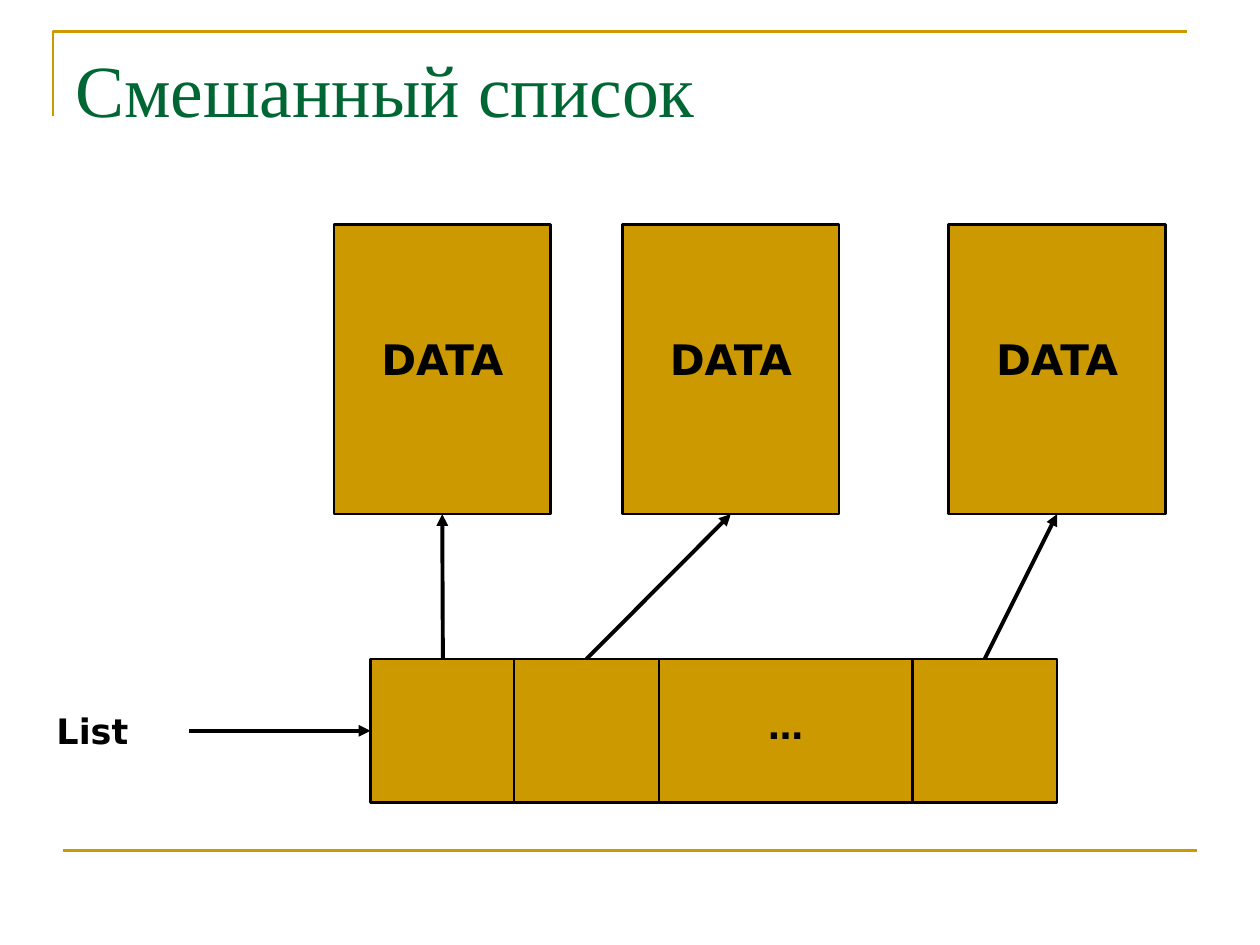
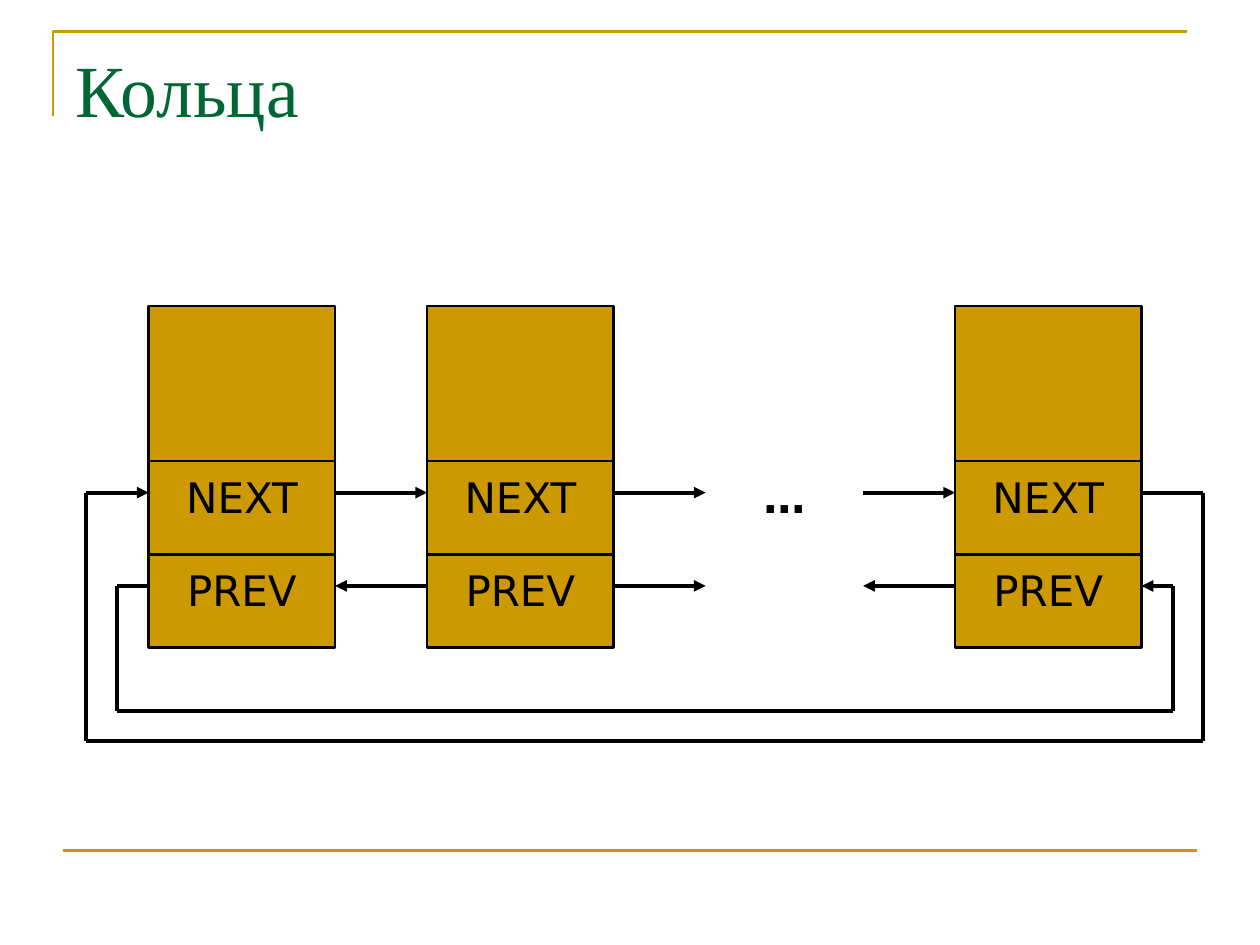
from dataclasses import dataclass
from itertools import pairwise

from lxml import etree
from pptx import Presentation
from pptx.dml.color import RGBColor
from pptx.enum.shapes import MSO_CONNECTOR, MSO_SHAPE
from pptx.enum.text import MSO_ANCHOR, PP_ALIGN
from pptx.oxml.ns import qn
from pptx.util import Inches, Pt

RECT = MSO_SHAPE.RECTANGLE
STRAIGHT = MSO_CONNECTOR.STRAIGHT
TOP = MSO_ANCHOR.TOP
LEFT, CENTER = PP_ALIGN.LEFT, PP_ALIGN.CENTER


@dataclass(frozen=True)
class Theme:
    gold: RGBColor = RGBColor(0xCC, 0x99, 0x00)
    green: RGBColor = RGBColor(0x00, 0x66, 0x33)
    black: RGBColor = RGBColor(0x00, 0x00, 0x00)
    title_font: str = "Times New Roman"
    body_font: str = "DejaVu Sans"
    title_size: int = 42
    label_size: int = 24
    small_size: int = 20
    thin: float = 1.5
    thick: float = 2.25


THEME = Theme()


def write(sp, text, *, size=THEME.label_size, font=THEME.body_font,
          color=THEME.black, bold=False, align=CENTER, top=0.08):
    """Put one line of text in a shape, `top` inches below its upper edge."""
    tf = sp.text_frame
    tf.word_wrap = True
    tf.vertical_anchor = TOP
    tf.margin_left = tf.margin_right = Inches(0.1)
    tf.margin_top, tf.margin_bottom = Inches(top), Inches(0.05)
    p = tf.paragraphs[0]
    p.alignment = align
    r = p.add_run()
    r.text = text
    r.font.name, r.font.size = font, Pt(size)
    r.font.bold = bold
    r.font.color.rgb = color


class Deck:
    def __init__(self, prs, theme):
        self.prs, self.theme = prs, theme
        self.s = None

    def slide(self, title):
        """Start a slide with the gold frame and its title."""
        t = self.theme
        self.s = self.prs.slides.add_slide(self.prs.slide_layouts[6])
        self.corner((0.42, 0.92), (0.42, 0.25), (9.42, 0.25))
        self.line((0.5, 6.75), (9.5, 6.75), color=t.gold, width=t.thin)
        self.text(0.5, 0.3, 9, 1.25, title, size=t.title_size, top=0.05,
                  font=t.title_font, color=t.green, align=LEFT)

    def corner(self, start, *points):
        fb = self.s.shapes.build_freeform(
            Inches(start[0]), Inches(start[1]), scale=1.0)
        fb.add_line_segments(
            [(Inches(x), Inches(y)) for x, y in points], close=False)
        sp = fb.convert_to_shape()
        sp.shadow.inherit = False
        sp.fill.background()
        sp.line.color.rgb = self.theme.gold
        sp.line.width = Pt(self.theme.thin)

    def text(self, x, y, w, h, text, **style):
        sp = self.s.shapes.add_textbox(
            Inches(x), Inches(y), Inches(w), Inches(h))
        write(sp, text, **style)

    def box(self, x, y, w, h, text=None, **style):
        sp = self.s.shapes.add_shape(
            RECT, Inches(x), Inches(y), Inches(w), Inches(h))
        sp.shadow.inherit = False
        sp.fill.solid()
        sp.fill.fore_color.rgb = self.theme.gold
        sp.line.color.rgb = self.theme.black
        sp.line.width = Pt(self.theme.thin)
        if text:
            write(sp, text, **style)

    def line(self, start, end, arrow=False, color=THEME.black,
             width=THEME.thick):
        cn = self.s.shapes.add_connector(
            STRAIGHT, *(Inches(v) for v in (*start, *end)))
        cn.line.color.rgb = color
        cn.line.width = Pt(width)
        if arrow:
            ln = cn.line._get_or_add_ln()
            etree.SubElement(ln, qn("a:tailEnd"), type="triangle")
        etree.SubElement(cn._element.spPr, qn("a:effectLst"))

    def route(self, *points):
        """Join points by lines; the last one ends in an arrowhead."""
        legs = list(pairwise(points))
        for i, (start, end) in enumerate(legs, 1):
            self.line(start, end, arrow=i == len(legs))


def mixed_list(deck):
    small = deck.theme.small_size
    deck.slide("Смешанный список")

    # Array of pointers
    cell_y, cell_w, cell_h = 5.23, 1.15, 1.14
    pointer_xs = (2.94, 4.08, 7.24)
    for x in pointer_xs:
        deck.box(x, cell_y, cell_w, cell_h)
    deck.box(5.23, cell_y, 2.01, cell_h, "…", size=small, bold=True, top=0.36)

    # Data blocks, each with its pointer
    data_y, data_w, data_h = 1.78, 1.72, 2.3
    for cell_x, data_x in zip(pointer_xs, (2.65, 4.94, 7.53)):
        deck.box(data_x, data_y, data_w, data_h, "DATA", bold=True, top=0.87)
        deck.route((cell_x + cell_w / 2, cell_y),
                   (data_x + data_w / 2, data_y + data_h))

    # Head of the list
    deck.text(0.35, cell_y, 1.43, 0.86, "List", size=small, bold=True,
              align=LEFT, top=0.4)
    deck.route((1.5, 5.8), (pointer_xs[0], 5.8))


def rings(deck):
    deck.slide("Кольца")

    # Nodes
    first, second, last = node_xs = (1.18, 3.39, 7.58)
    node_w, field_h = 1.48, 0.74
    data_y, next_y, prev_y = 2.43, 3.66, 4.4
    for x in node_xs:
        deck.box(x, data_y, node_w, next_y - data_y)
        deck.box(x, next_y, node_w, field_h, "NEXT")
        deck.box(x, prev_y, node_w, field_h, "PREV")

    # Links between neighbours
    next_link, prev_link = next_y + 0.25, prev_y + 0.25
    gap = second - first - node_w
    second_end, last_end = second + node_w, last + node_w
    for x in (second - gap, second_end, last - gap):
        deck.route((x, next_link), (x + gap, next_link))
    for x in (second, last):
        deck.route((x, prev_link), (x - gap, prev_link))
    deck.route((second_end, prev_link), (second_end + gap, prev_link))
    deck.text(5.61, next_y, 1.23, 0.99, "…", bold=True)

    # Links that close the ring
    deck.route((first, prev_link), (0.93, prev_link), (0.93, 5.64),
               (9.31, 5.64), (9.31, prev_link), (last_end, prev_link))
    deck.route((last_end, next_link), (9.55, next_link), (9.55, 5.88),
               (0.68, 5.88), (0.68, next_link), (first, next_link))


def main():
    prs = Presentation()
    prs.slide_width, prs.slide_height = Inches(10), Inches(7.5)
    deck = Deck(prs, THEME)
    mixed_list(deck)
    rings(deck)
    prs.save("out.pptx")


if __name__ == "__main__":
    main()
